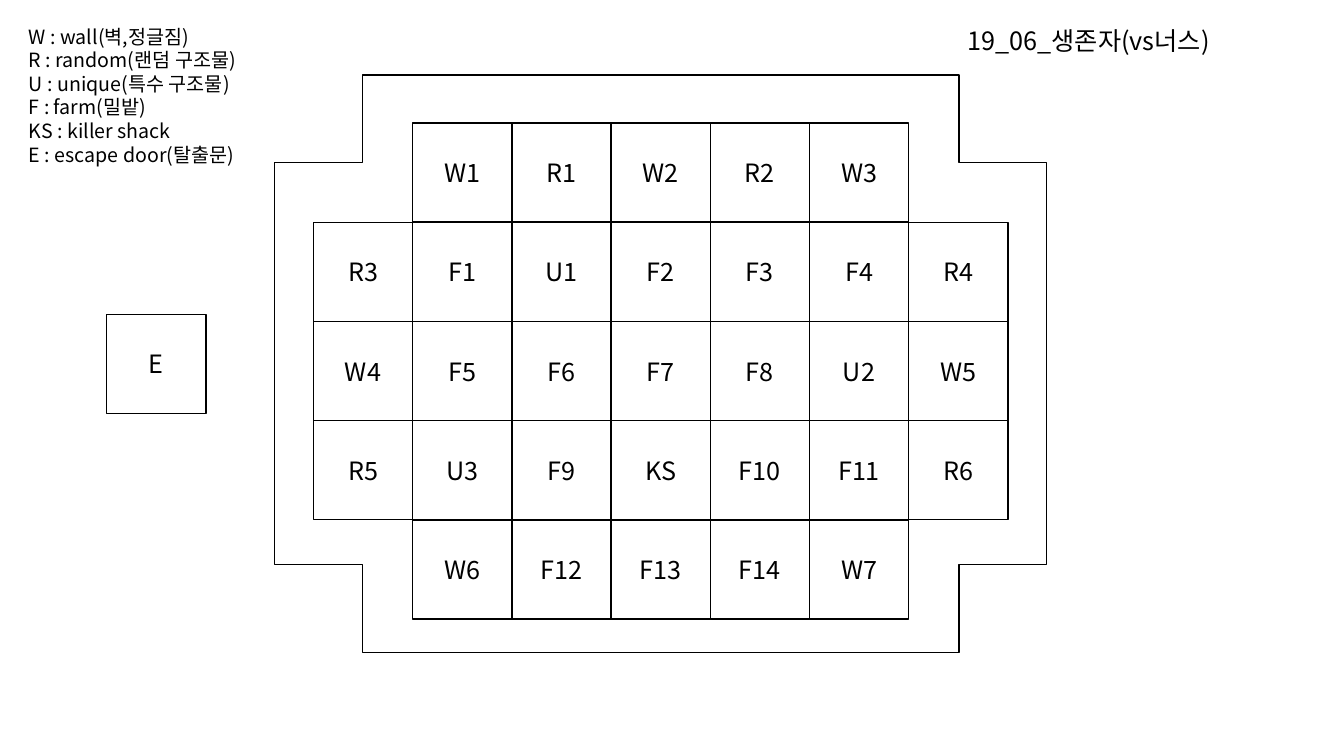
from lxml.etree import SubElement
from pptx import Presentation
from pptx.dml.color import RGBColor
from pptx.enum.shapes import MSO_SHAPE as SHAPE
from pptx.enum.text import MSO_ANCHOR as ANCHOR, MSO_AUTO_SIZE as AUTO, PP_ALIGN as ALIGN
from pptx.oxml.ns import qn
from pptx.util import Cm, Pt

COLORS = {"ink": "000000"}
FONT = "Noto Sans CJK KR"
TILE = 2.5
TILES = [
    ["", "W1", "R1", "W2", "R2", "W3", ""],
    ["R3", "F1", "U1", "F2", "F3", "F4", "R4"],
    ["W4", "F5", "F6", "F7", "F8", "U2", "W5"],
    ["R5", "U3", "F9", "KS", "F10", "F11", "R6"],
    ["", "W6", "F12", "F13", "F14", "W7", ""],
]
LEGEND = [
    "W : wall(벽,정글짐)",
    "R : random(랜덤 구조물)",
    "U : unique(특수 구조물)",
    "F : farm(밀밭)",
    "KS : killer shack\vE : escape door(탈출문)",
]


def ink():
    return RGBColor.from_string(COLORS["ink"])


def set_text(tf, text, size, align, anchor):
    tf.text = text
    tf.word_wrap = True
    tf.vertical_anchor = anchor
    for p in tf.paragraphs:
        p.alignment = align
        for r in p.runs:
            r.font.size = Pt(size)
            r.font.name = FONT
            r.font.color.rgb = ink()
            SubElement(r._r.get_or_add_rPr(), qn("a:ea"), typeface=FONT)


def add_outlined(s, kind, x, y, w, h):
    sp = s.shapes.add_shape(kind, Cm(x), Cm(y), Cm(w), Cm(h))
    sp.shadow.inherit = False
    sp.fill.background()
    sp.line.color.rgb = ink()
    sp.line.width = Pt(1)
    return sp


def add_tile(s, x, y, label):
    sp = add_outlined(s, SHAPE.RECTANGLE, x, y, TILE, TILE)
    set_text(sp.text_frame, label, 18, ALIGN.CENTER, ANCHOR.MIDDLE)


def add_boundary(s, x, y, w, h):
    sp = add_outlined(s, SHAPE.CROSS, x + (w - h) / 2, y + (h - w) / 2, h, w)
    sp.rotation = 270
    sp.adjustments[0] = 0.152


def add_map(s, x, y):
    for row, labels in enumerate(TILES):
        for col, label in enumerate(labels):
            if label:
                add_tile(s, x + col * TILE, y + row * TILE, label)


def add_legend(s, x, y, w, h):
    sp = s.shapes.add_textbox(Cm(x), Cm(y), Cm(w), Cm(h))
    set_text(sp.text_frame, "\n".join(LEGEND), 14, ALIGN.LEFT, ANCHOR.TOP)
    sp.text_frame.auto_size = AUTO.SHAPE_TO_FIT_TEXT


def add_title(s, x, y, w, h):
    sp = s.shapes.title
    sp.left, sp.top, sp.width, sp.height = Cm(x), Cm(y), Cm(w), Cm(h)
    set_text(sp.text_frame, "19_06_생존자(vs너스)", 18, ALIGN.LEFT, ANCHOR.TOP)
    sp.text_frame.auto_size = AUTO.SHAPE_TO_FIT_TEXT


prs = Presentation()
prs.slide_width, prs.slide_height = Cm(33.87), Cm(19.05)
s = prs.slides.add_slide(prs.slide_layouts[5])
add_boundary(s, 6.92, 1.89, 19.46, 14.55)
add_legend(s, 0.48, 0.5, 5.94, 3.84)
add_map(s, 7.9, 3.1)
add_tile(s, 2.69, 7.92, "E")
add_title(s, 24.13, 0.5, 8.74, 1.02)
prs.save("out.pptx")
